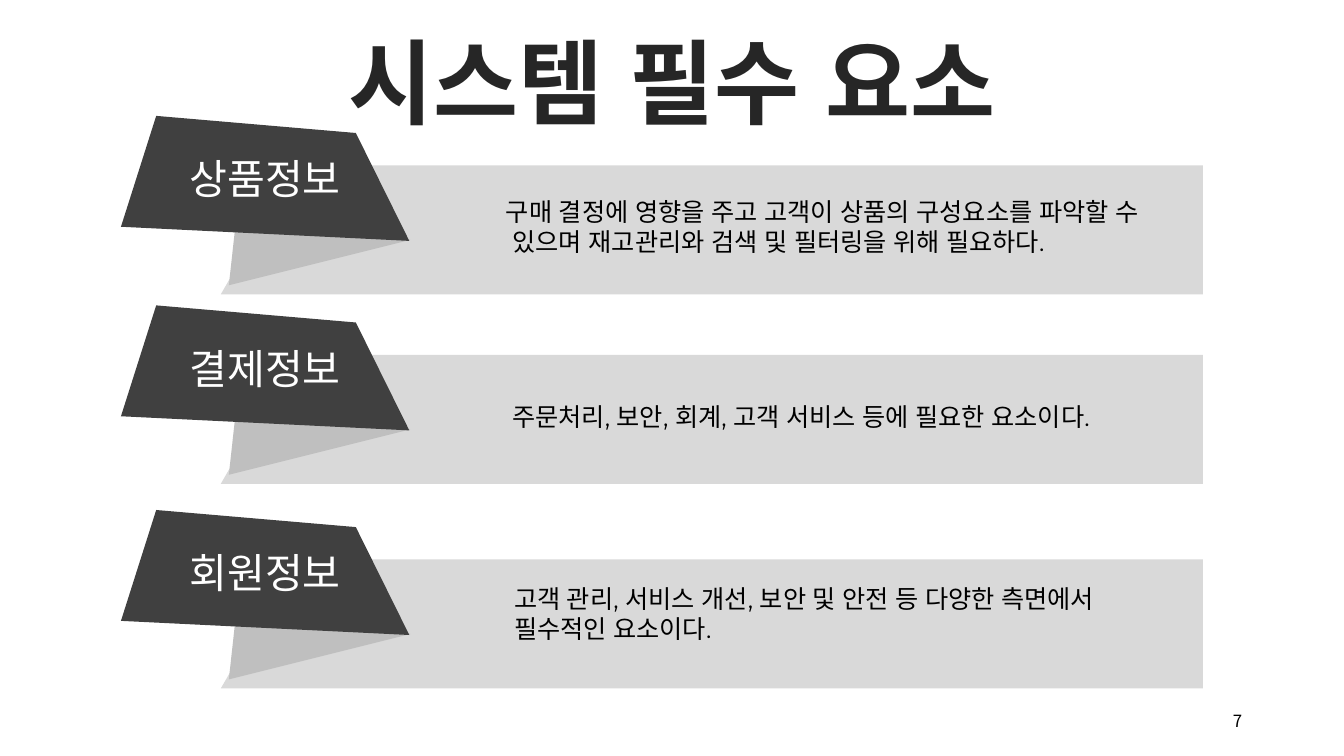
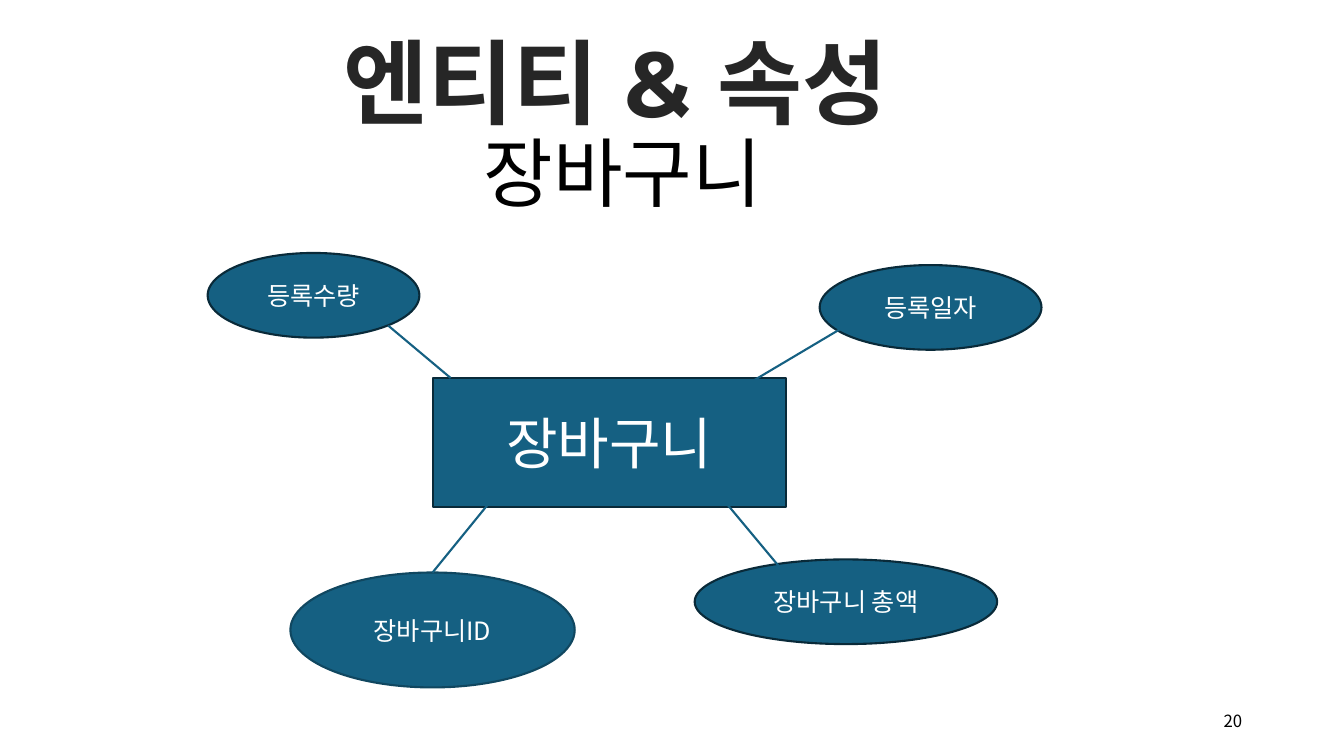
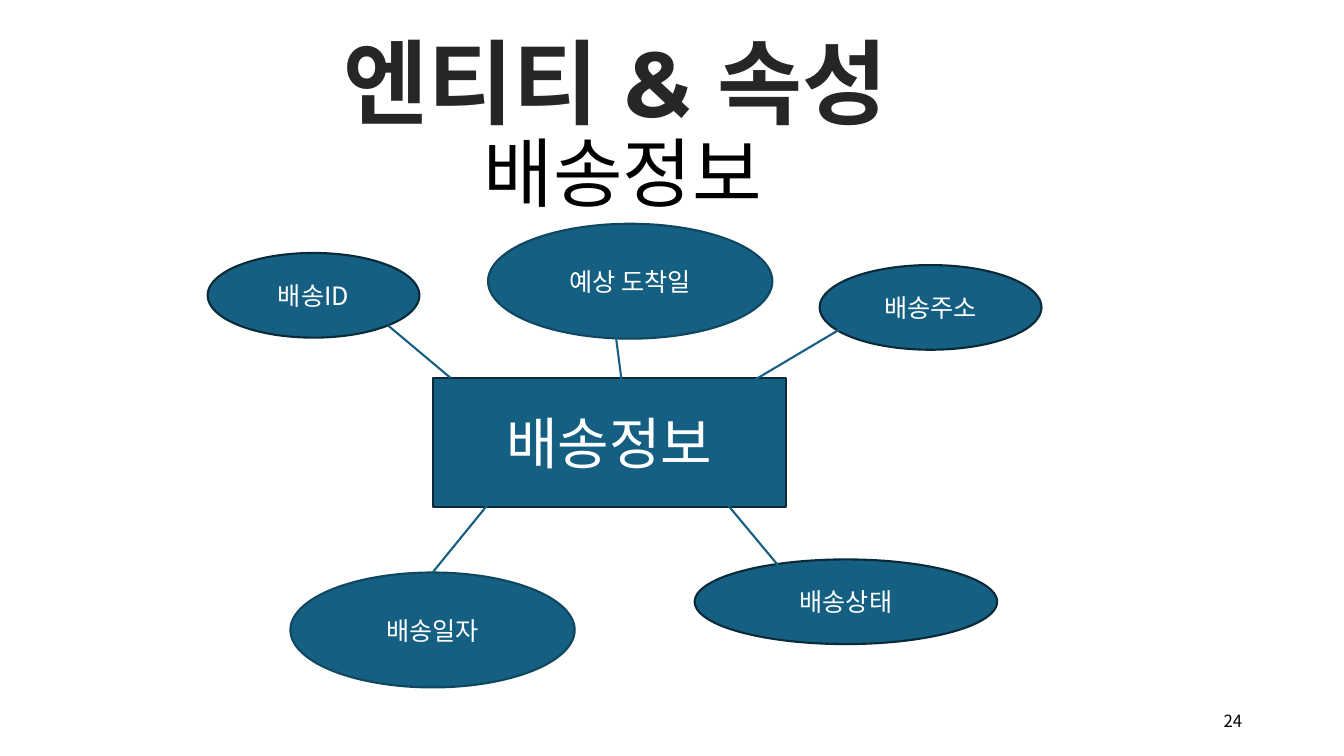
from lxml import etree
from pptx import Presentation
from pptx.dml.color import RGBColor
from pptx.enum.shapes import MSO_CONNECTOR, MSO_SHAPE
from pptx.enum.text import MSO_ANCHOR, MSO_AUTO_SIZE, PP_ALIGN
from pptx.oxml.ns import qn
from pptx.util import Pt

PX = 9144
LEFT, MID, RIGHT = PP_ALIGN.LEFT, PP_ALIGN.CENTER, PP_ALIGN.RIGHT
TOP, HALF = MSO_ANCHOR.TOP, MSO_ANCHOR.MIDDLE
RECT, OVAL = MSO_SHAPE.RECTANGLE, MSO_SHAPE.OVAL
LINE = MSO_CONNECTOR.STRAIGHT
FIXED = MSO_AUTO_SIZE.NONE

BLACK = RGBColor(0x00, 0x00, 0x00)
WHITE = RGBColor(0xFF, 0xFF, 0xFF)
INK = RGBColor(0x26, 0x26, 0x26)
COAL = RGBColor(0x40, 0x40, 0x40)
SHADE = RGBColor(0xBF, 0xBF, 0xBF)
PALE = RGBColor(0xD9, 0xD9, 0xD9)
TEAL = RGBColor(0x15, 0x60, 0x82)
NAVY = RGBColor(0x09, 0x2A, 0x39)
DEEP = RGBColor(0x10, 0x47, 0x60)

HEAD = "Montserrat"
BODY = "Noto Sans CJK KR"

BAND = [(293, 164), (1193, 164), (1193, 292), (219, 292)]
FOLD = [(407, 238), (237, 192), (227, 283)]
FLAG = [(155, 115), (353, 132), (406, 239), (120, 225)]

ROWS = [
    (0, "상품정보", BODY, 492, 190,
     "구매 결정에 영향을 주고 고객이 상품의 구성요소를 파악할 수\n"
     " 있으며 재고관리와 검색 및 필터링을 위해 필요하다."),
    (188, "결제정보", BODY, 498, 393,
     "주문처리, 보안, 회계, 고객 서비스 등에 필요한 요소이다."),
    (391, "회원정보", HEAD, 500, 574,
     "고객 관리, 서비스 개선, 보안 및 안전 등 다양한 측면에서\n"
     "필수적인 요소이다."),
]

NODES = [
    ((206, 251, 210, 84), NAVY, (385, 323), (447, 375)),
    ((813, 263, 220, 84), NAVY, (846, 319), (681, 417)),
    ((689, 555, 300, 84), NAVY, (781, 572), (706, 482)),
    ((288, 568, 282, 114), DEEP, (429, 568), (499, 482)),
    ((484, 222, 282, 114), DEEP, (611, 335), (618, 389)),
]

CHARTS = [
    (20, "장바구니", ["등록수량", "등록일자", "장바구니 총액", "장바구니ID"]),
    (24, "배송정보", ["배송ID", "배송주소", "배송상태", "배송일자", "예상 도착일"]),
]


def emu(*nums):
    return [num * PX for num in nums]


def put(shape, text, size=18, font=BODY, color=BLACK, bold=False,
        align=LEFT, anchor=TOP, wrap=True, inset=None):
    frame = shape.text_frame
    frame.auto_size = FIXED
    frame.word_wrap = wrap
    frame.vertical_anchor = anchor
    if inset is not None:
        frame.margin_left = frame.margin_right = inset
        frame.margin_top = frame.margin_bottom = inset
    for row, part in enumerate(text.split("\n")):
        para = frame.paragraphs[0] if row == 0 else frame.add_paragraph()
        para.alignment = align
        run = para.add_run()
        run.text = part
        run.font.size = Pt(size)
        run.font.bold = bold
        run.font.color.rgb = color
        run.font.name = font
        east = etree.SubElement(run.font._element, qn("a:ea"))
        east.set("typeface", font)


class Deck:
    def __init__(self):
        self.prs = Presentation()
        self.prs.slide_width, self.prs.slide_height = emu(1333, 750)
        self.slide = None

    def page(self, title, left, number):
        self.slide = self.prs.slides.add_slide(self.prs.slide_layouts[5])
        head = self.slide.shapes.title
        head.left, head.top, head.width, head.height = emu(left, 20, 741, 134)
        put(head, title, size=66, font=HEAD, color=INK, bold=True,
            align=MID, wrap=False)
        self.text((942, 695, 300, 40), str(number), size=12,
                  align=RIGHT, anchor=HALF)

    def text(self, box, text, **form):
        put(self.slide.shapes.add_textbox(*emu(*box)), text, **form)

    def plate(self, points, drop, fill):
        spots = [(x, y + drop) for x, y in points]
        pen = self.slide.shapes.build_freeform(*spots[0], scale=PX)
        pen.add_line_segments(spots[1:], close=True)
        shape = pen.convert_to_shape()
        shape.shadow.inherit = False
        shape.fill.solid()
        shape.fill.fore_color.rgb = fill
        shape.line.fill.background()
        return shape

    def node(self, kind, box, text, edge, size=18):
        shape = self.slide.shapes.add_shape(kind, *emu(*box))
        shape.shadow.inherit = False
        shape.fill.solid()
        shape.fill.fore_color.rgb = TEAL
        shape.line.color.rgb = edge
        shape.line.width = Pt(1.5)
        put(shape, text, size=size, color=WHITE, align=MID, anchor=HALF)

    def link(self, start, end):
        wire = self.slide.shapes.add_connector(LINE, *emu(*start, *end))
        wire.line.color.rgb = TEAL
        wire.line.width = Pt(1.5)
        etree.SubElement(wire._element.spPr, qn("a:effectLst"))

    def row(self, drop, label, font, left, top, text):
        self.plate(BAND, drop, PALE)
        self.plate(FOLD, drop, SHADE)
        flag = self.plate(FLAG, drop, COAL)
        put(flag, label, size=29.4, font=font, color=WHITE,
            align=MID, anchor=HALF, inset=0)
        self.text((left, top, 561, 94), text, font=HEAD, wrap=False)

    def chart(self, name, labels):
        self.text((470, 120, 356, 101), name, size=54)
        self.node(RECT, (429, 375, 351, 128), name, NAVY, size=40)
        for label, (box, edge, start, end) in zip(labels, NODES):
            self.node(OVAL, box, label, edge)
            self.link(start, end)


def main():
    deck = Deck()
    deck.page("시스템 필수 요소", 296, 7)
    for row in ROWS:
        deck.row(*row)
    for number, name, labels in CHARTS:
        deck.page("엔티티 & 속성", 240, number)
        deck.chart(name, labels)
    deck.prs.save("out.pptx")


if __name__ == "__main__":
    main()
